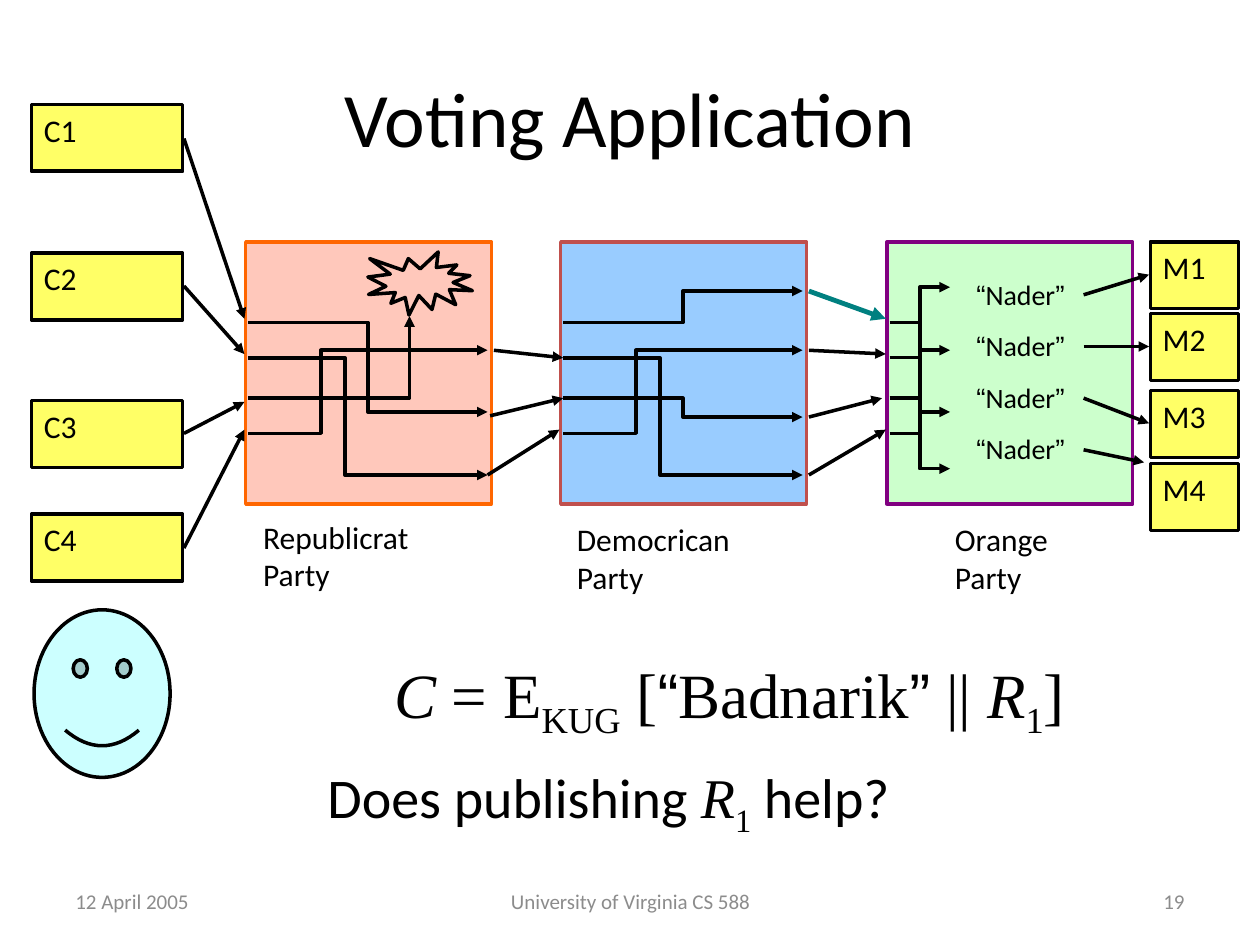
from lxml import etree
from pptx import Presentation
from pptx.dml.color import RGBColor
from pptx.enum.shapes import MSO_CONNECTOR, MSO_SHAPE
from pptx.enum.text import MSO_ANCHOR, PP_ALIGN
from pptx.oxml.ns import qn
from pptx.util import Inches, Pt

STRAIGHT, ELBOW = MSO_CONNECTOR.STRAIGHT, MSO_CONNECTOR.ELBOW
RECT, BURST, SMILEY = MSO_SHAPE.RECTANGLE, MSO_SHAPE.EXPLOSION1, MSO_SHAPE.SMILEY_FACE
TOP, MIDDLE = MSO_ANCHOR.TOP, MSO_ANCHOR.MIDDLE
LEFT, CENTER, RIGHT = PP_ALIGN.LEFT, PP_ALIGN.CENTER, PP_ALIGN.RIGHT

COLORS = {
    "black": "000000", "gray": "8C8C8C", "yellow": "FFFF66", "cyan": "CCFFFF",
    "salmon": "FFC8BB", "orange": "FF6600", "blue": "99CCFF", "red": "C0504D",
    "green": "CCFFCC", "purple": "800080", "teal": "008080",
}
SANS, SERIF, QUOTE = "Calibri", "Times New Roman", "Arial"

FOOTERS = [
    ("12 April 2005", 0.5, 2.33, LEFT),
    ("University of Virginia CS 588", 3.42, 3.17, CENTER),
    ("19", 7.17, 2.33, RIGHT),
]
ENTRIES = [2.56, 2.84, 3.16, 3.44]
PARTIES = [
    {"x": 1.95, "fill": "salmon", "line": "orange", "reach": 1.9,
     "routes": [(0, 3.27, 0.5), (2, 2.51, None), (1, 3.77, 0.404), (3, 2.78, 0.304)]},
    {"x": 4.45, "fill": "blue", "line": "red", "reach": 1.9,
     "routes": [(0, 2.31, 0.5), (2, 3.31, 0.5), (1, 3.77, 0.404), (3, 2.78, 0.304)]},
    {"x": 7.04, "fill": "green", "line": "purple", "reach": 0.48,
     "routes": [(0, 3.27, 0.5), (2, 3.72, 0.5), (1, 2.28, 0.5), (3, 2.78, 0.5)]},
]
CORNER_REACH = 1.28
PARTY_LABELS = [
    ("Republicrat ", 1.99, 4.06, 1.98),
    ("Democrican", 4.48, 4.08, 1.98),
    ("Orange", 7.48, 4.08, 1.31),
]
CIPHERTEXTS = [("C1", 0.83), ("C2", 2.01), ("C3", 3.18), ("C4", 4.08)]
MESSAGES = [("M1", 1.92), ("M2", 2.49), ("M3", 3.1), ("M4", 3.68)]
ARROWS = [
    (1.46, 4.35, 1.94, 3.41), (1.46, 3.44, 1.94, 3.19),
    (1.46, 2.27, 1.94, 2.81), (1.46, 1.1, 1.94, 2.53),
    (3.87, 3.77, 4.44, 3.41), (3.89, 3.3, 4.47, 3.16), (3.92, 2.78, 4.47, 2.84),
    (6.42, 3.77, 7.03, 3.41), (6.42, 3.31, 7, 3.16), (6.42, 2.78, 7.03, 2.81),
]
VOTE_ENDS = [(9.12, 2.18), (9.12, 2.75), (9.12, 3.36), (9.08, 3.67)]
VOTE_TOP, VOTE_STEP = 2.15, 0.41

ITALIC = {"font": SERIF, "italic": True}
ROMAN = {"font": SERIF}
SUB = {"font": SERIF, "sub": True}
VOTE = [("“", {"font": QUOTE}), ("Nader", {}), ("”", {"font": QUOTE})]
FORMULA = [
    ("C", ITALIC), (" = E", ROMAN), ("KUG", SUB), (" [", ROMAN), ("“", {"font": QUOTE}),
    ("Badnarik", ROMAN), ("”", {"font": QUOTE}), (" || ", ROMAN), ("R", ITALIC),
    ("1", SUB), ("]", ROMAN),
]
QUESTION = [("Does publishing ", {}), ("R", ITALIC), ("1", SUB), (" help?", {})]

prs = Presentation()
prs.slide_width, prs.slide_height = Inches(10), Inches(7.5)
slide = prs.slides.add_slide(prs.slide_layouts[6])


def rgb(name):
    return RGBColor.from_string(COLORS[name])


def write(frame, paragraphs, size=18, color="black", align=LEFT, anchor=TOP):
    frame.word_wrap = True
    frame.vertical_anchor = anchor
    for i, runs in enumerate(paragraphs):
        paragraph = frame.add_paragraph() if i else frame.paragraphs[0]
        paragraph.alignment = align
        for words, style in [(runs, {})] if isinstance(runs, str) else runs:
            run = paragraph.add_run()
            run.text = words
            run.font.name = style.get("font", SANS)
            run.font.size = Pt(size)
            run.font.italic = style.get("italic", False)
            run.font.color.rgb = rgb(color)
            if style.get("sub"):
                run.font._element.set("baseline", "-25000")


def label(x, y, w, h, paragraphs, **style):
    box = slide.shapes.add_textbox(Inches(x), Inches(y), Inches(w), Inches(h))
    write(box.text_frame, paragraphs, **style)


def block(kind, x, y, w, h, fill, line="black"):
    shape = slide.shapes.add_shape(kind, Inches(x), Inches(y), Inches(w), Inches(h))
    shape.shadow.inherit = False
    shape.fill.solid()
    shape.fill.fore_color.rgb = rgb(fill)
    shape.line.color.rgb = rgb(line)
    shape.line.width = Pt(2)
    return shape


def arrow(x1, y1, x2, y2, kind=STRAIGHT, color="black", width=2):
    link = slide.shapes.add_connector(kind, Inches(x1), Inches(y1), Inches(x2), Inches(y2))
    link.line.color.rgb = rgb(color)
    link.line.width = Pt(width)
    etree.SubElement(link.line._get_or_add_ln(), qn("a:tailEnd"), type="triangle")
    etree.SubElement(link._element.spPr, qn("a:effectLst"))
    return link


def route(x1, y1, x2, y2, bend):
    geometry = arrow(x1, y1, x2, y2, kind=ELBOW)._element.spPr.find(qn("a:prstGeom"))
    if bend is None:
        geometry.set("prst", "bentConnector2")
        return
    guides = geometry.find(qn("a:avLst"))
    etree.SubElement(guides, qn("a:gd"), name="adj1", fmla=f"val {round(bend * 100000)}")


for words, x, w, align in FOOTERS:
    label(x, 6.95, w, 0.4, [words], size=12, color="gray", align=align, anchor=MIDDLE)
label(0.5, 0.3, 9, 1.25, ["Voting Application"], size=44, align=CENTER, anchor=MIDDLE)

for party in PARTIES:
    block(RECT, party["x"], 1.92, 1.95, 2.08, party["fill"], party["line"])
    start = party["x"] + 0.02
    for entry, exit_y, bend in party["routes"]:
        reach = CORNER_REACH if bend is None else party["reach"]
        route(start, ENTRIES[entry], start + reach, exit_y, bend)

for boxes, x, w in [(CIPHERTEXTS, 0.25, 1.2), (MESSAGES, 9.13, 0.7)]:
    for words, y in boxes:
        write(block(RECT, x, y, w, 0.53, "yellow").text_frame, [words])

for ends in ARROWS:
    arrow(*ends)
for words, x, y, w in PARTY_LABELS:
    label(x, y, w, 0.9, [words, "Party"])

block(BURST, 2.92, 2, 0.83, 0.5, "salmon")
arrow(6.42, 2.31, 7.03, 2.53, color="teal", width=2.75)

for i, (end_x, end_y) in enumerate(VOTE_ENDS):
    y = VOTE_TOP + i * VOTE_STEP
    label(7.65, y, 0.95, 0.37, [VOTE], size=16)
    arrow(8.6, y + 0.19, end_x, end_y)

label(3.03, 5.15, 5.76, 0.7, [FORMULA], size=36)
label(2.5, 6, 5.11, 0.63, [QUESTION], size=32)
block(SMILEY, 0.27, 4.84, 1.08, 1.33, "cyan").adjustments[0] = 0.047

prs.save("out.pptx")
